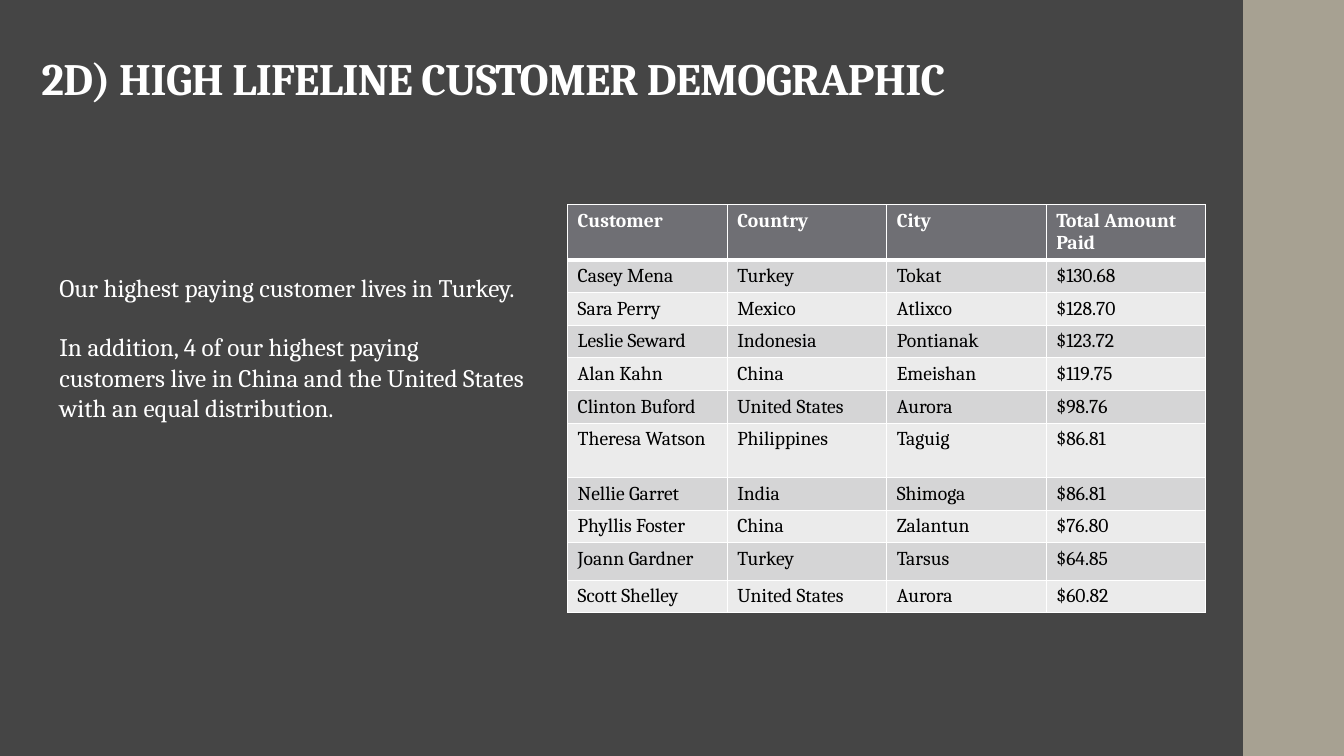
"""Build the slide on the demographic of the highest paying customers."""
from dataclasses import dataclass
from typing import Any

from lxml.etree import SubElement
from pptx import Presentation
from pptx.dml.color import RGBColor as Color
from pptx.enum.shapes import MSO_SHAPE as Preset
from pptx.enum.text import MSO_ANCHOR as Anchor, MSO_AUTO_SIZE as AutoSize, PP_ALIGN as Align
from pptx.oxml.ns import qn
from pptx.util import Pt

PX = 9144
COLORS = {
    "backdrop": "454545",
    "band": "A7A192",
    "light": "FFFFFF",
    "dark": "000000",
    "header": "6F6F74",
    "odd": "D5D5D6",
    "even": "EBEBEB",
}
TITLE_FONT = {"name": "Cambria", "size": Pt(32), "bold": True}
NOTE_FONT = {"name": "Cambria", "size": Pt(18), "bold": False}
HEADER_FONT = {"name": "Cambria", "size": Pt(14), "bold": True}
CELL_FONT = {"name": "Cambria", "size": Pt(14), "bold": False}


@dataclass(frozen=True)
class Area:
    left: int
    top: int
    width: int
    height: int

    def emu(self) -> tuple[int, ...]:
        return tuple(n * PX for n in (self.left, self.top, self.width, self.height))


@dataclass(frozen=True)
class Customer:
    name: str
    country: str
    city: str
    paid: str
    height: int = 32

    def values(self) -> tuple[str, ...]:
        return self.name, self.country, self.city, self.paid


PAGE = Area(0, 0, 1333, 750)
BAND = Area(1233, 0, 100, 750)
TITLE = Area(31, 0, 1253, 109)
NOTE = Area(49, 265, 483, 192)
TABLE = Area(563, 203, 633, 401)
NOTES = (
    "Our highest paying customer lives in Turkey.",
    "In addition, 4 of our highest paying customers live in China and the "
    "United States with an equal distribution.",
)
ROWS = (
    Customer("Customer", "Country", "City", "Total Amount Paid", 54),
    Customer("Casey Mena", "Turkey", "Tokat", "$130.68"),
    Customer("Sara Perry", "Mexico", "Atlixco", "$128.70"),
    Customer("Leslie Seward", "Indonesia", "Pontianak", "$123.72"),
    Customer("Alan Kahn", "China", "Emeishan", "$119.75"),
    Customer("Clinton Buford", "United States", "Aurora", "$98.76"),
    Customer("Theresa Watson", "Philippines", "Taguig", "$86.81", 54),
    Customer("Nellie Garret", "India", "Shimoga", "$86.81"),
    Customer("Phyllis Foster", "China", "Zalantun", "$76.80"),
    Customer("Joann Gardner", "Turkey", "Tarsus", "$64.85", 37),
    Customer("Scott Shelley", "United States", "Aurora", "$60.82"),
)


def color(name: str) -> Color:
    return Color.from_string(COLORS[name])


def write(para: Any, text: str, font: dict[str, Any], ink: str) -> Any:
    span = para.add_run()
    span.text = text
    for key, value in font.items():
        setattr(span.font, key, value)
    span.font.color.rgb = color(ink)
    return span


def add_panel(page: Any, area: Area, fill: str) -> Any:
    panel = page.shapes.add_shape(Preset.RECTANGLE, *area.emu())
    panel.shadow.inherit = False
    panel.fill.solid()
    panel.fill.fore_color.rgb = color(fill)
    panel.line.fill.background()
    return panel


def fill_title(title: Any) -> None:
    title.left, title.top, title.width, title.height = TITLE.emu()
    frame = title.text_frame
    frame.word_wrap = True
    frame.auto_size = AutoSize.NONE
    frame.vertical_anchor = Anchor.BOTTOM
    para = frame.paragraphs[0]
    para.alignment = Align.LEFT
    para.line_spacing = 0.9
    span = write(para, "2D) HIGH LIFELINE CUSTOMER DEMOGRAPHIC", TITLE_FONT, "light")
    span.font._element.set("spc", "-50")


def add_notes(page: Any) -> None:
    frame = page.shapes.add_textbox(*NOTE.emu()).text_frame
    frame.word_wrap = True
    frame.auto_size = AutoSize.SHAPE_TO_FIT_TEXT
    for index, text in enumerate(NOTES):
        para = frame.add_paragraph() if index else frame.paragraphs[0]
        para.space_before = Pt(21 if index else 0)
        write(para, text, NOTE_FONT, "light")


def add_borders(cell: Any, row: int) -> None:
    heavy = {0: "lnB", 1: "lnT"}.get(row)
    properties = cell._tc.get_or_add_tcPr()
    for position, side in enumerate(("lnL", "lnR", "lnT", "lnB")):
        line = properties.makeelement(qn(f"a:{side}"), {"w": str(Pt(3 if side == heavy else 1))})
        properties.insert(position, line)
        solid = SubElement(line, qn("a:solidFill"))
        SubElement(solid, qn("a:srgbClr"), val=COLORS["light"])


def add_customers(page: Any) -> None:
    columns = len(ROWS[0].values())
    table = page.shapes.add_table(len(ROWS), columns, *TABLE.emu()).table
    for column in table.columns:
        column.width = TABLE.width * PX // columns
    for row, customer in enumerate(ROWS):
        table.rows[row].height = customer.height * PX
        fill = ("odd" if row % 2 else "even") if row else "header"
        font, ink = (CELL_FONT, "dark") if row else (HEADER_FONT, "light")
        for column, text in enumerate(customer.values()):
            cell = table.cell(row, column)
            cell.fill.solid()
            cell.fill.fore_color.rgb = color(fill)
            write(cell.text_frame.paragraphs[0], text, font, ink)
            add_borders(cell, row)


def main() -> None:
    deck = Presentation()
    deck.slide_width, deck.slide_height = PAGE.width * PX, PAGE.height * PX
    page = deck.slides.add_slide(deck.slide_layouts[5])
    page.background.fill.solid()
    page.background.fill.fore_color.rgb = color("backdrop")
    title = page.shapes.title
    title.element.addprevious(add_panel(page, PAGE, "backdrop").element)
    fill_title(title)
    add_panel(page, BAND, "band")
    add_customers(page)
    add_notes(page)
    deck.save("out.pptx")


if __name__ == "__main__":
    main()
